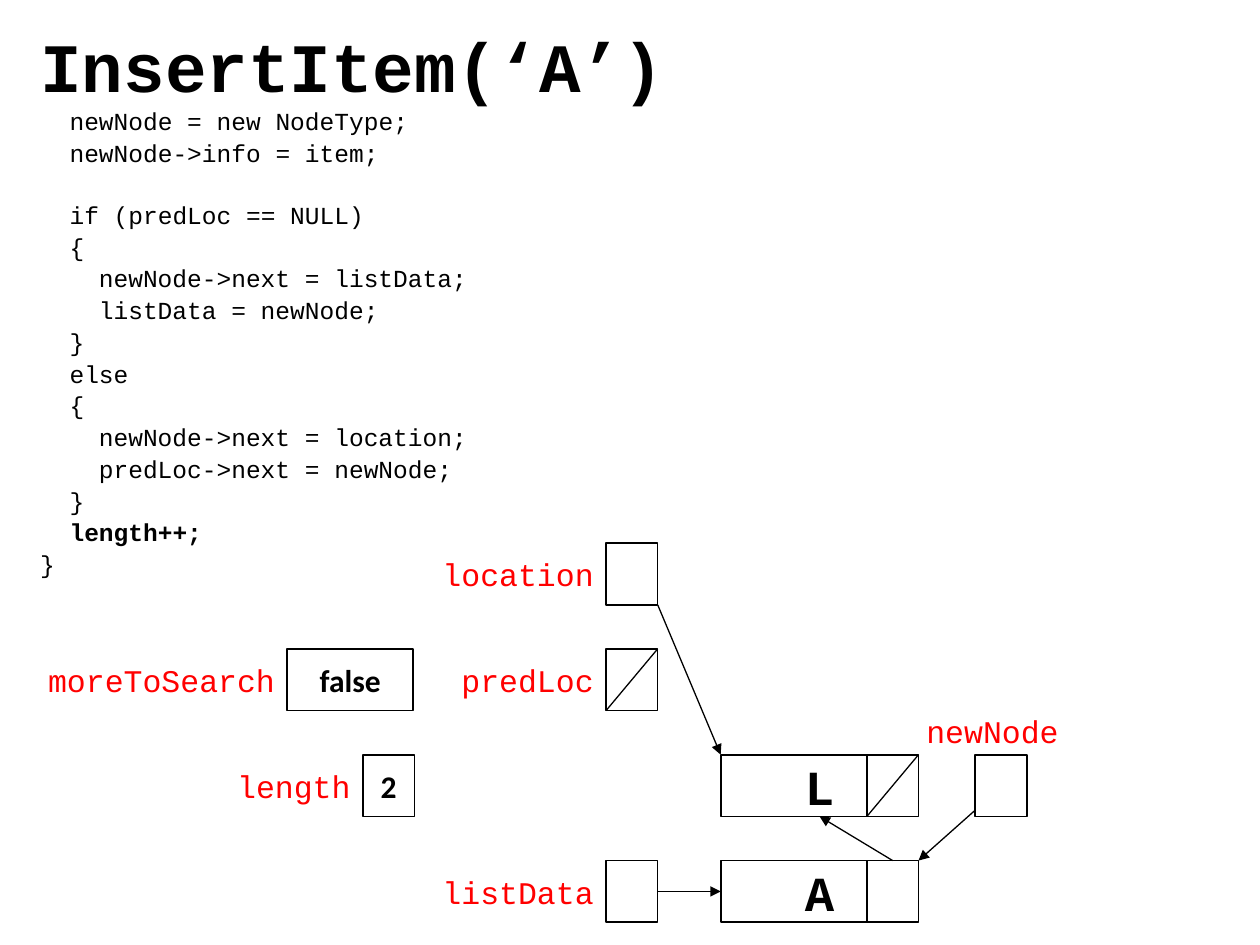
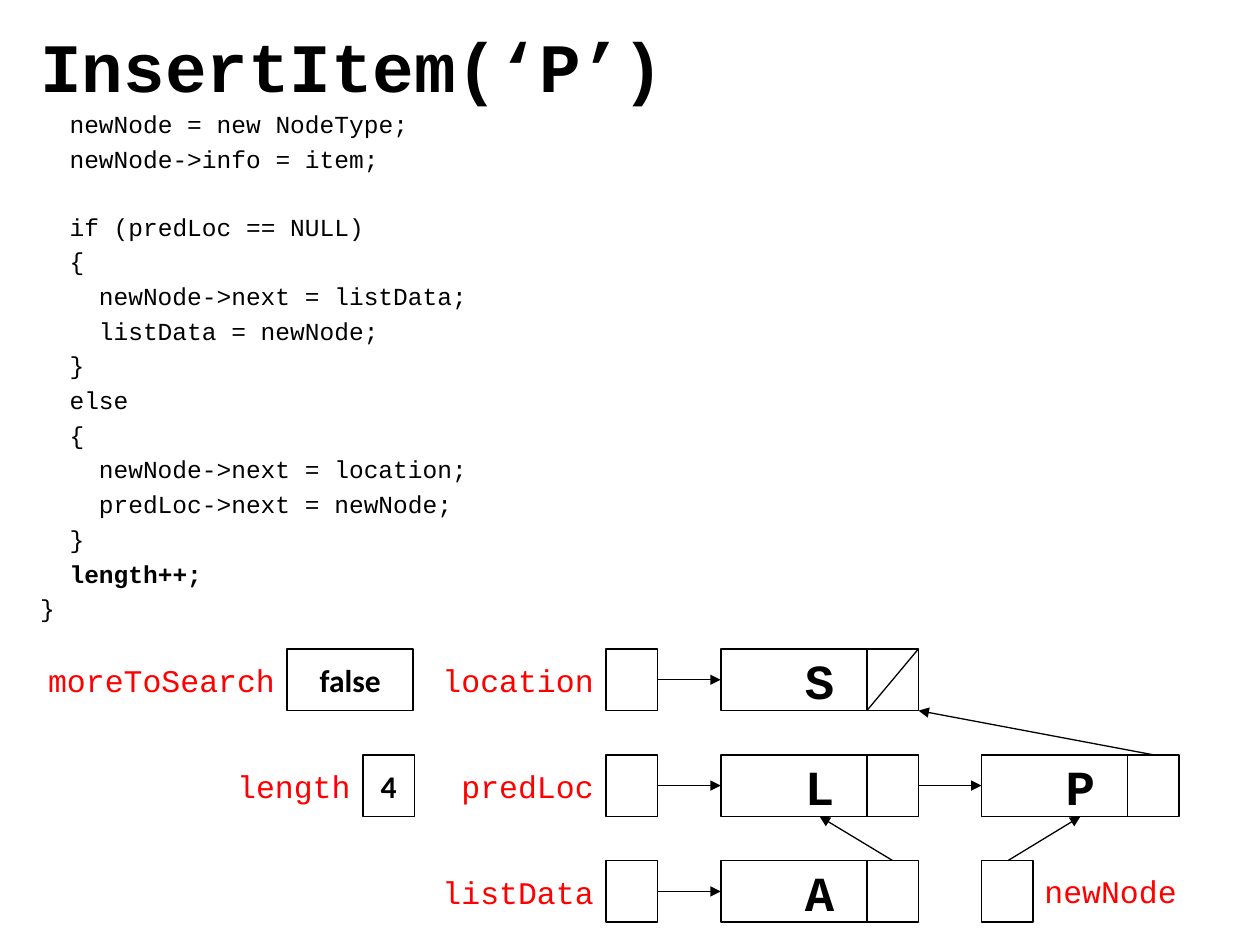
from dataclasses import dataclass

from lxml import etree
from pptx import Presentation
from pptx.dml.color import RGBColor
from pptx.enum.shapes import MSO_CONNECTOR, MSO_SHAPE
from pptx.enum.text import MSO_ANCHOR, PP_ALIGN
from pptx.oxml.ns import qn
from pptx.util import Inches, Pt


@dataclass(frozen=True)
class Theme:
    ink: RGBColor = RGBColor(0, 0, 0)
    label: RGBColor = RGBColor(0xFF, 0, 0)
    code_font: str = "Courier New"
    value_font: str = "Calibri"
    title_size: float = 39.6
    node_size: float = 28
    label_size: float = 18
    code_size: float = 14
    box_line: float = 1
    thin_line: float = 0.75


THEME = Theme()

# Grid of the memory diagram, in inches
ROWS = [4.31 + 0.84 * row for row in range(4)]
CELL_W, CELL_H = 0.41, 0.49
NODE_W, NEXT_X = 1.57, 1.16
FLAG, COUNT, POINTER, NODE = 2.28, 2.88, 4.81, 5.72
POINTER_END, NODE_END = POINTER + CELL_W, NODE + NODE_W
NODE_MID, NEXT_MID = NODE + NODE_W / 2, NODE + (NEXT_X + NODE_W) / 2
MID = CELL_H / 2
NEW_CELL, NEW_NODE = 7.74, 7.79
LABEL_W, LABEL_H, LABEL_DROP = 2.05, 0.4, 0.05

# (indent in characters, statement); an empty statement is a blank line
CODE = [
    (2, "newNode = new NodeType;"),
    (2, "newNode->info = item;"),
    (0, ""),
    (2, "if (predLoc == NULL)"),
    (2, "{"),
    (4, "newNode->next = listData;"),
    (4, "listData = newNode;"),
    (2, "}"),
    (2, "else"),
    (2, "{"),
    (4, "newNode->next = location;"),
    (4, "predLoc->next = newNode;"),
    (2, "}"),
    (2, "length++;"),
    (0, "}"),
]
CODE_GAP = 3
CHAR_W = 0.6 * THEME.code_size
LINE_H = 1.13 * THEME.code_size

# variables: name, left, row, width, value
# nodes: item, left, row, whether its next field is NULL
# arrows: from x, from y, to x, to y
SLIDES = [
    {
        "title": "InsertItem(‘A’)",
        "line_spacing": 0.9,
        "variables": [
            ("location", POINTER, 0, CELL_W, ""),
            ("moreToSearch", FLAG, 1, 1, "false"),
            ("predLoc", POINTER, 1, CELL_W, "NULL"),
            ("length", COUNT, 2, CELL_W, "2"),
            ("listData", POINTER, 3, CELL_W, ""),
        ],
        "new_cell": (NEW_CELL, 2),
        "new_label": (6.45, 5.6, PP_ALIGN.RIGHT),
        "nodes": [("L", NODE, 2, True), ("A", NODE, 3, False)],
        "arrows": [
            (POINTER_END, ROWS[0] + CELL_H, NODE, ROWS[2]),
            (POINTER_END, ROWS[3] + MID, NODE, ROWS[3] + MID),
            (NEXT_MID, ROWS[3], NODE_MID, ROWS[2] + CELL_H),
            (NEW_CELL, 6.43, NODE_END, ROWS[3]),
        ],
    },
    {
        "title": "InsertItem(‘P’)",
        "line_spacing": 1.0,
        "variables": [
            ("moreToSearch", FLAG, 1, 1, "false"),
            ("location", POINTER, 1, CELL_W, ""),
            ("length", COUNT, 2, CELL_W, "4"),
            ("predLoc", POINTER, 2, CELL_W, ""),
            ("listData", POINTER, 3, CELL_W, ""),
        ],
        "new_cell": (NEW_NODE, 3),
        "new_label": (8.19, 6.87, PP_ALIGN.LEFT),
        "nodes": [
            ("S", NODE, 1, True),
            ("L", NODE, 2, False),
            ("A", NODE, 3, False),
            ("P", NEW_NODE, 2, False),
        ],
        "arrows": [
            *[(POINTER_END, ROWS[row] + MID, NODE, ROWS[row] + MID) for row in (1, 2, 3)],
            (NODE_END, ROWS[2] + MID, NEW_NODE, ROWS[2] + MID),
            (NEXT_MID, ROWS[3], NODE_MID, ROWS[2] + CELL_H),
            (8, ROWS[3], NEW_NODE + NODE_W / 2, ROWS[2] + CELL_H),
            (9.15, ROWS[2], NODE_END, ROWS[1] + CELL_H),
        ],
    },
]


def write(paragraph, text, size, font=THEME.code_font, color=THEME.ink,
          bold=False, align=PP_ALIGN.LEFT):
    paragraph.text = text
    paragraph.alignment = align
    paragraph.font.name = font
    paragraph.font.size = Pt(size)
    paragraph.font.bold = bold
    paragraph.font.color.rgb = color


def draw_line(slide, x1, y1, x2, y2, arrow=False):
    line = slide.shapes.add_connector(
        MSO_CONNECTOR.STRAIGHT, Inches(x1), Inches(y1), Inches(x2), Inches(y2))
    line.line.color.rgb = THEME.ink
    line.line.width = Pt(THEME.thin_line)
    properties = line._element.spPr
    if arrow:
        etree.SubElement(properties.find(qn("a:ln")), qn("a:tailEnd"), type="triangle")
    etree.SubElement(properties, qn("a:effectLst"))


prs = Presentation()
prs.slide_width, prs.slide_height = Inches(10), Inches(7.5)
title_only = prs.slide_layouts[5]

for step in SLIDES:
    slide = prs.slides.add_slide(title_only)

    title = slide.shapes.title
    title.left, title.top = Inches(0.22), Inches(0.21)
    title.width, title.height = Inches(8.4), Inches(0.56)
    title.text_frame.vertical_anchor = MSO_ANCHOR.TOP
    heading = title.text_frame.paragraphs[0]
    write(heading, step["title"], THEME.title_size, bold=True)
    heading.line_spacing = 0.9

    listing = slide.shapes.add_textbox(
        Inches(0.22), Inches(0.82), Inches(6.81), Inches(5.24)).text_frame
    listing.word_wrap = True
    gap = 0
    for indent, statement in CODE:
        if not statement:
            gap += LINE_H * step["line_spacing"] + CODE_GAP
            continue
        paragraph = listing.add_paragraph() if gap else listing.paragraphs[0]
        write(paragraph, statement, THEME.code_size, bold=statement == "length++;")
        paragraph.line_spacing = step["line_spacing"]
        paragraph.space_before = Pt(gap)
        paragraph._p.get_or_add_pPr().set("marL", str(Pt(indent * CHAR_W)))
        gap = CODE_GAP

    new_left, new_row = step["new_cell"]
    labels = [("newNode", *step["new_label"])]
    boxes = [(new_left, new_row, CELL_W, "", THEME.value_font, THEME.label_size)]
    null_cells = []
    for name, left, row, width, value in step["variables"]:
        labels.append((name, left - LABEL_W, ROWS[row] + LABEL_DROP, PP_ALIGN.RIGHT))
        if value == "NULL":
            null_cells.append((left, row))
            value = ""
        boxes.append((left, row, width, value, THEME.value_font, THEME.label_size))
    for item, left, row, is_last in step["nodes"]:
        boxes.append((left, row, NODE_W, item, THEME.code_font, THEME.node_size))
        if is_last:
            null_cells.append((left + NEXT_X, row))

    for left, row, width, content, font, size in boxes:
        box = slide.shapes.add_shape(
            MSO_SHAPE.RECTANGLE, Inches(left), Inches(ROWS[row]), Inches(width), Inches(CELL_H))
        box.shadow.inherit = False
        box.fill.background()
        box.line.color.rgb = THEME.ink
        box.line.width = Pt(THEME.box_line)
        if content:
            box.text_frame.vertical_anchor = MSO_ANCHOR.MIDDLE
            write(box.text_frame.paragraphs[0], content, size, font,
                  bold=True, align=PP_ALIGN.CENTER)

    for name, left, top, align in labels:
        label = slide.shapes.add_textbox(
            Inches(left), Inches(top), Inches(LABEL_W), Inches(LABEL_H)).text_frame
        label.word_wrap = True
        write(label.paragraphs[0], name, THEME.label_size, color=THEME.label, align=align)

    for _, left, row, _ in step["nodes"]:
        draw_line(slide, left + NEXT_X, ROWS[row], left + NEXT_X, ROWS[row] + CELL_H)
    for left, row in null_cells:
        draw_line(slide, left + CELL_W, ROWS[row], left, ROWS[row] + CELL_H)
    for ends in step["arrows"]:
        draw_line(slide, *ends, arrow=True)

prs.save("out.pptx")
